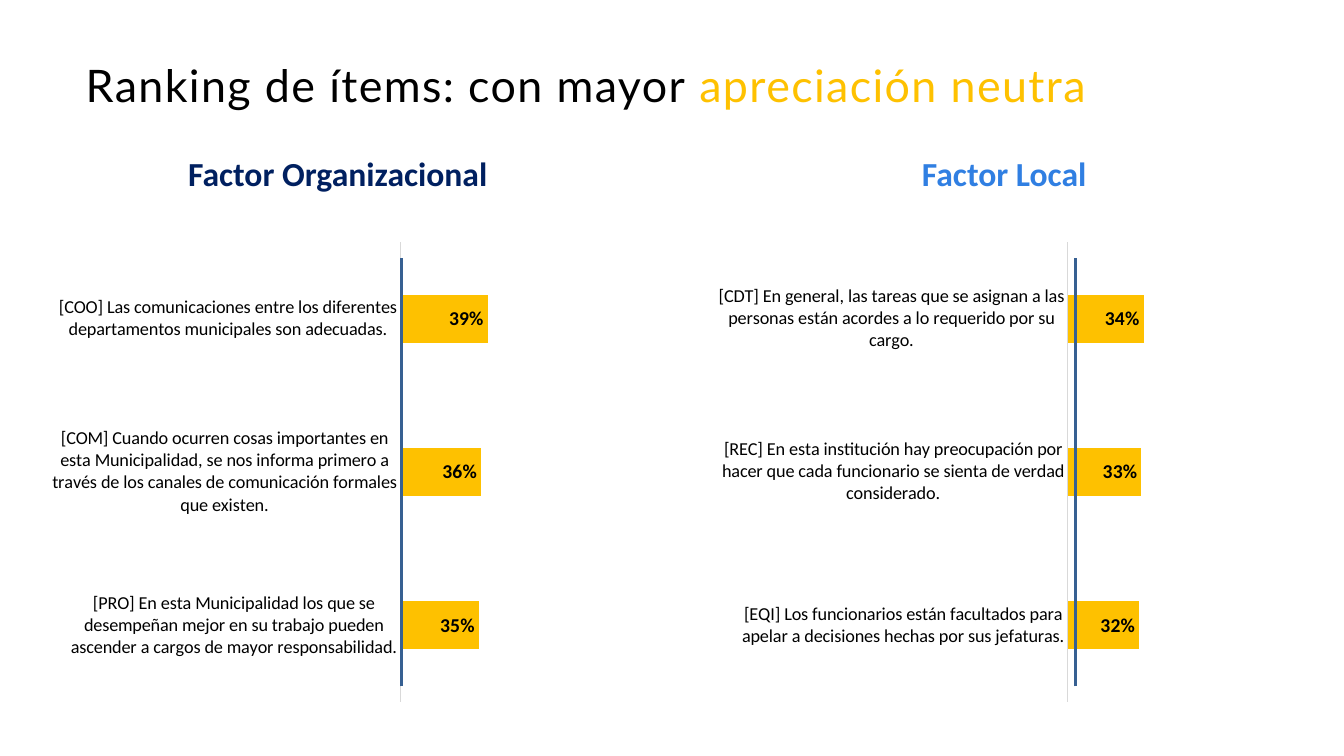
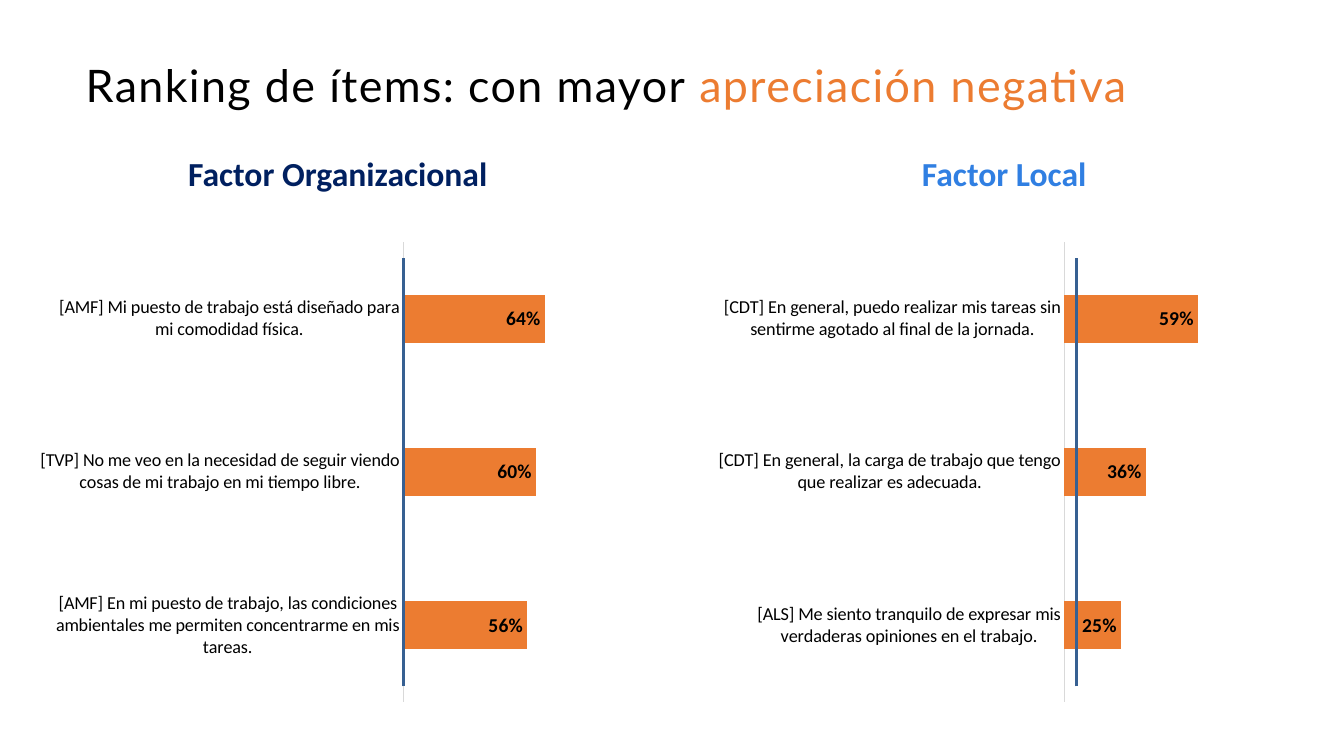
from lxml import etree
from pptx import Presentation
from pptx.chart.data import CategoryChartData
from pptx.dml.color import RGBColor
from pptx.enum.chart import XL_CHART_TYPE as ChartType, XL_LABEL_POSITION as LabelPos, XL_TICK_MARK as Tick
from pptx.enum.shapes import MSO_CONNECTOR as Connector
from pptx.enum.text import MSO_ANCHOR as Anchor, PP_ALIGN as Align
from pptx.oxml.ns import qn
from pptx.util import Pt

PX = 9144  # 100 px to the inch

BLACK = RGBColor(0x00, 0x00, 0x00)
WHITE = RGBColor(0xFF, 0xFF, 0xFF)
NAVY = RGBColor(0x00, 0x20, 0x60)
BLUE = RGBColor(0x30, 0x7F, 0xE2)
STEEL = RGBColor(0x37, 0x60, 0x92)
GREY = RGBColor(0xD9, 0xD9, 0xD9)
AMBER = RGBColor(0xFE, 0xC1, 0x00)
ORANGE = RGBColor(0xEC, 0x7C, 0x31)
TITLE_FONT, BODY_FONT = "Lato", "Calibri"

# Content: items from the highest to the lowest share
TITLE_START = "Ranking de ítems: con mayor "
RANKINGS = [
    {
        "accent": ("apreciación neutra", AMBER),
        "baselines": (398, 1067),
        "factors": [
            [
                ("[COO] Las comunicaciones entre los diferentes departamentos municipales son adecuadas.", 0.39),
                ("[COM] Cuando ocurren cosas importantes en esta Municipalidad, se nos informa primero a "
                 "través de los canales de comunicación formales que existen.", 0.36),
                ("[PRO] En esta Municipalidad los que se desempeñan mejor en su trabajo pueden ascender "
                 "a cargos de mayor responsabilidad.", 0.35),
            ],
            [
                ("[CDT] En general, las tareas que se asignan a las personas están acordes a lo "
                 "requerido por su cargo.", 0.34),
                ("[REC] En esta institución hay preocupación por hacer que cada funcionario se sienta "
                 "de verdad considerado.", 0.33),
                ("[EQI] Los funcionarios están facultados para apelar a decisiones hechas por sus "
                 "jefaturas.", 0.32),
            ],
        ],
    },
    {
        "accent": ("apreciación negativa", ORANGE),
        "baselines": (400, 1068),
        "factors": [
            [
                ("[AMF] Mi puesto de trabajo está diseñado para mi comodidad física.", 0.64),
                ("[TVP] No me veo en la necesidad de seguir viendo cosas de mi trabajo en mi tiempo "
                 "libre.", 0.60),
                ("[AMF] En mi puesto de trabajo, las condiciones ambientales me permiten concentrarme "
                 "en mis tareas.", 0.56),
            ],
            [
                ("[CDT] En general, puedo realizar mis tareas sin sentirme agotado al final de la "
                 "jornada.", 0.59),
                ("[CDT] En general, la carga de trabajo que tengo que realizar es adecuada.", 0.36),
                ("[ALS] Me siento tranquilo de expresar mis verdaderas opiniones en el trabajo.", 0.25),
            ],
        ],
    },
]

# Layout shared by the slides, in px
SLIDE_SIZE = (1333, 750)
TITLE_BOX = (85, 34, 1178, 106)
HEADINGS = [  # text, colour, heading left, chart left
    ("Factor Organizacional", NAVY, 83, 40),
    ("Factor Local", BLUE, 744, 701),
]
HEADING_TOP, HEADING_SIZE = 158, (504, 33)
CHART_TOP, CHART_SIZE = 231, (591, 475)
BASELINE_TOP, BASELINE_BOTTOM = 256, 681


def emu(*lengths):
    return [length * PX for length in lengths]


def style(font, name, size, color, bold=False):
    font.name, font.size, font.bold = name, Pt(size), bold
    font.color.rgb = color


def add_text(slide, box, runs, name, size, bold=False, align=Align.LEFT, spacing=0, inset=None):
    frame = slide.shapes.add_textbox(*emu(*box)).text_frame
    frame.word_wrap = True
    frame.vertical_anchor = Anchor.MIDDLE
    if inset is not None:
        frame.margin_left = frame.margin_right = frame.margin_top = frame.margin_bottom = inset
    line = frame.paragraphs[0]
    line.alignment, line.line_spacing = align, 0.9
    for text, color in runs:
        run = line.add_run()
        run.text = text
        style(run.font, name, size, color, bold)
        if spacing:
            run.font._element.set("spc", str(spacing * 100))


def add_ranking_chart(slide, left, items, color):
    data = CategoryChartData(number_format="0%")
    data.categories = [text for text, _ in reversed(items)]
    data.add_series("Series 1", [share for _, share in reversed(items)])
    box = emu(left, CHART_TOP, *CHART_SIZE)
    chart = slide.shapes.add_chart(ChartType.BAR_CLUSTERED, *box, data).chart
    chart.has_legend = chart.has_title = False
    style(chart.font, BODY_FONT, 10, WHITE)

    # Axes
    items_axis, share_axis = chart.category_axis, chart.value_axis
    items_axis.major_tick_mark = items_axis.minor_tick_mark = Tick.NONE
    items_axis.format.line.color.rgb = GREY
    items_axis.format.line.width = Pt(0.75)
    style(items_axis.tick_labels.font, BODY_FONT, 13, BLACK)
    share_axis.minimum_scale, share_axis.maximum_scale = 0, 1
    share_axis.has_major_gridlines = False
    share_axis.visible = False

    # Bars and their labels
    plot = chart.plots[0]
    plot.gap_width, plot.vary_by_categories = 219, False
    bars = plot.series[0]
    bars.format.fill.solid()
    bars.format.fill.fore_color.rgb = color
    labels = bars.data_labels
    labels.show_value, labels.position = True, LabelPos.INSIDE_END
    labels.number_format, labels.number_format_is_linked = "0%", False
    style(labels.font, BODY_FONT, 14, BLACK, bold=True)


def add_baseline(slide, x):
    ends = emu(x, BASELINE_BOTTOM, x, BASELINE_TOP)
    baseline = slide.shapes.add_connector(Connector.STRAIGHT, *ends)
    baseline.line.color.rgb, baseline.line.width = STEEL, Pt(2)
    etree.SubElement(baseline._element.spPr, qn("a:effectLst"))


def add_ranking_slide(deck, ranking):
    slide = deck.slides.add_slide(deck.slide_layouts[6])
    accent = ranking["accent"]
    add_text(slide, TITLE_BOX, [(TITLE_START, BLACK), accent], TITLE_FONT, 32, spacing=1, inset=0)
    for (heading, color, left, chart_left), items in zip(HEADINGS, ranking["factors"]):
        add_text(slide, (left, HEADING_TOP, *HEADING_SIZE), [(heading, color)],
                 BODY_FONT, 24, bold=True, align=Align.CENTER)
        add_ranking_chart(slide, chart_left, items, accent[1])
    for x in ranking["baselines"]:
        add_baseline(slide, x)


def main():
    deck = Presentation()
    deck.slide_width, deck.slide_height = emu(*SLIDE_SIZE)
    for ranking in RANKINGS:
        add_ranking_slide(deck, ranking)
    deck.save("out.pptx")


if __name__ == "__main__":
    main()
